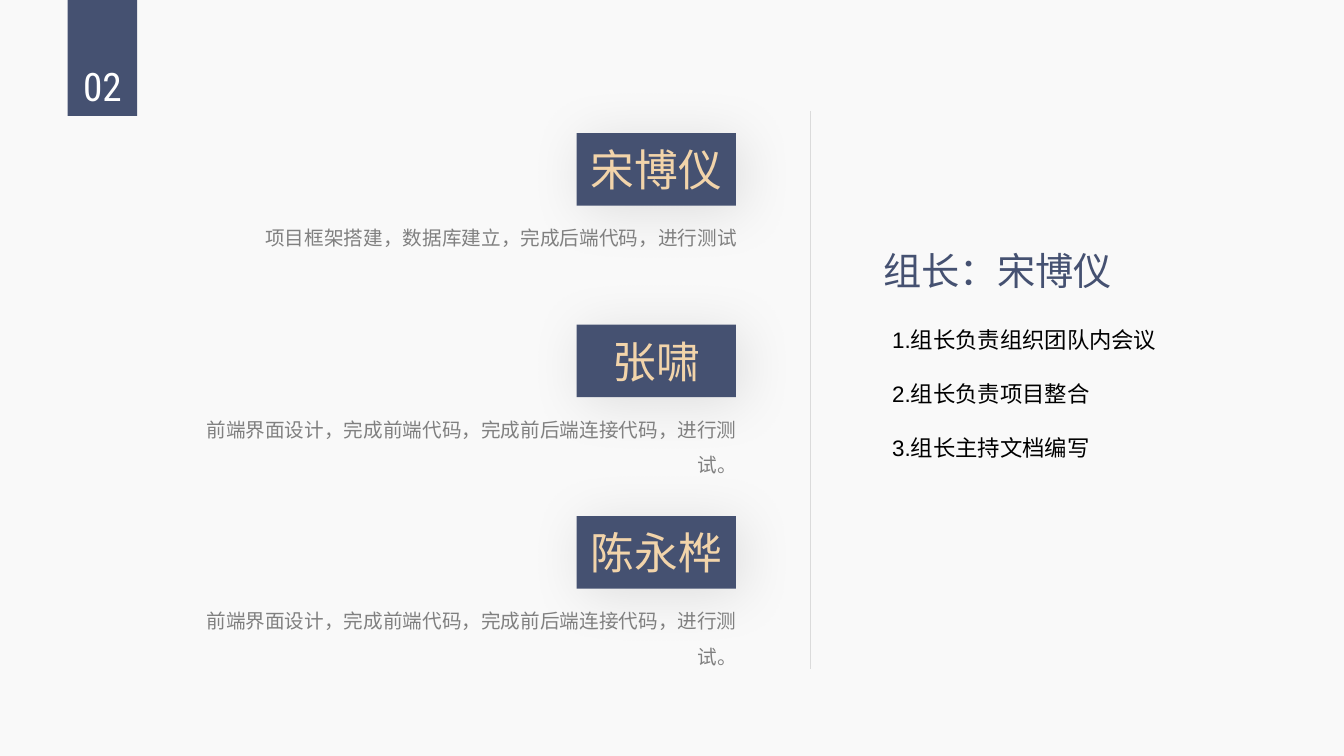
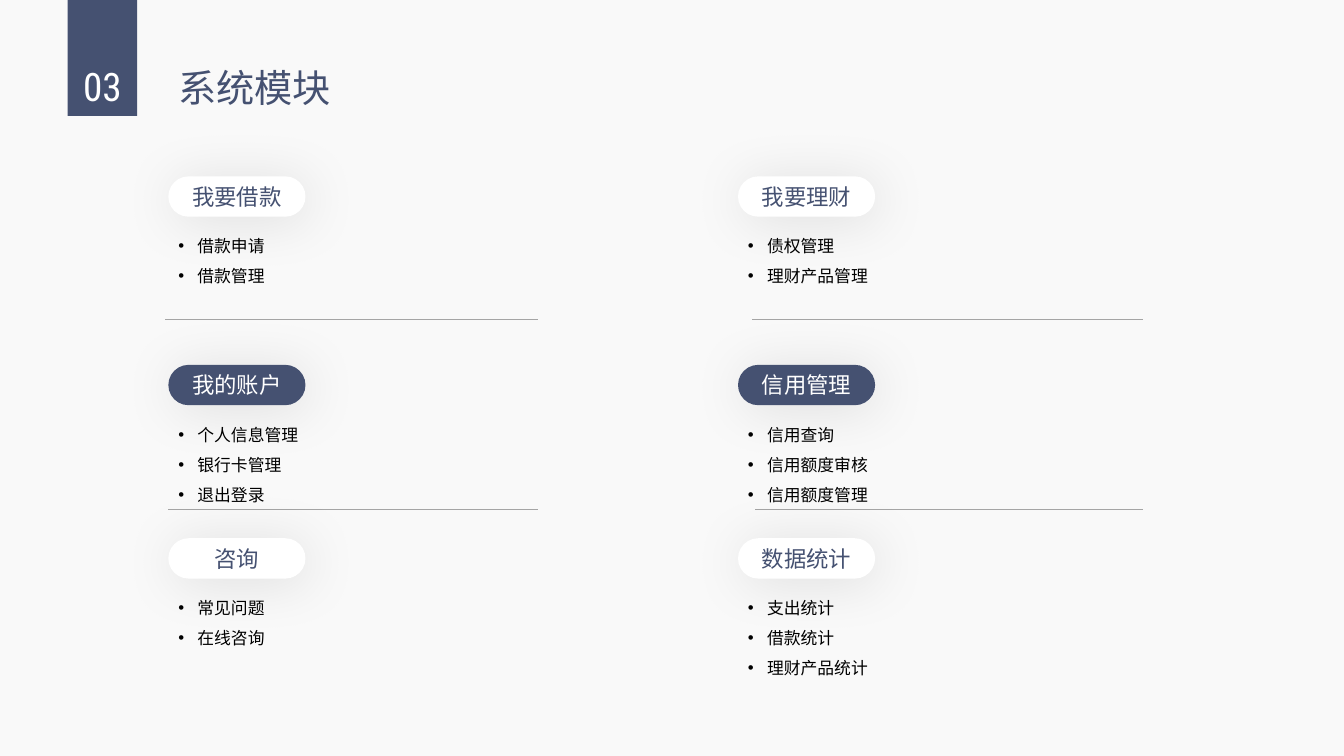
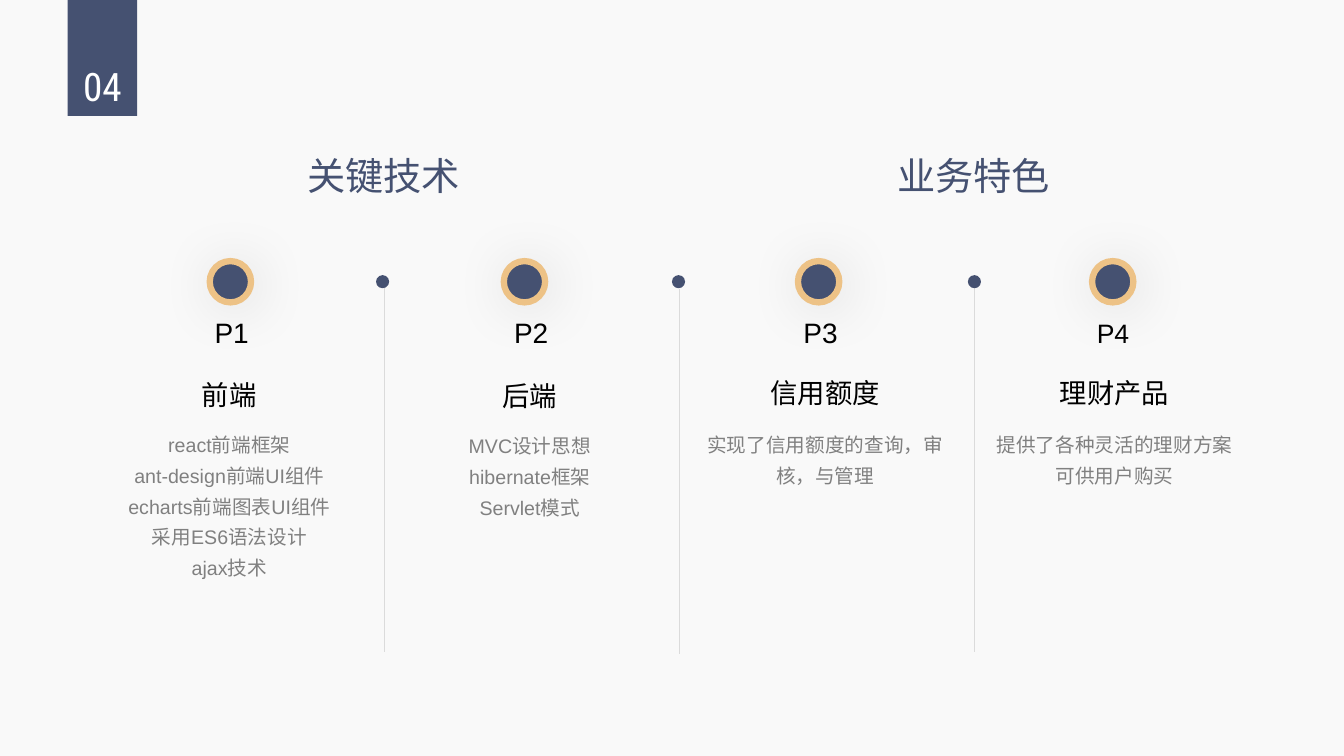
from dataclasses import dataclass

from lxml import etree
from pptx import Presentation, util as u
from pptx.dml.color import RGBColor
from pptx.enum import shapes, text
from pptx.oxml.ns import qn


# Colours, fonts and type sizes shared by all slides
@dataclass(frozen=True)
class Theme:
    background: str = "F9F9F9"
    navy: str = "455171"
    sand: str = "F2D4AA"
    gold: str = "EDC286"
    white: str = "FFFFFF"
    black: str = "000000"
    grey: str = "808080"
    divider: str = "DBDBDB"
    rule: str = "A5A5A5"
    font: str = "Arial"
    number_font: str = "Roboto Condensed"
    name_size: float = 31.2
    number_size: float = 28
    title_size: float = 27.3
    heading_size: float = 19.5
    label_size: float = 20
    list_size: float = 16
    body_size: float = 14
    bullet_size: float = 12


THEME = Theme()
LEFT, CENTER, RIGHT = text.PP_ALIGN.LEFT, text.PP_ALIGN.CENTER, text.PP_ALIGN.RIGHT
TOP, MIDDLE = text.MSO_ANCHOR.TOP, text.MSO_ANCHOR.MIDDLE
RECTANGLE = shapes.MSO_SHAPE.RECTANGLE
PILL = shapes.MSO_SHAPE.ROUNDED_RECTANGLE
OVAL = shapes.MSO_SHAPE.OVAL


def inches(*lengths):
    return [u.Inches(length) for length in lengths]


# Text
def write(shape, lines, *, size, color=THEME.black, font=THEME.font, align=LEFT,
          anchor=TOP, wrap=True, spacing=None, after=None, bullet=False):
    """Write one paragraph for each line into a shape."""
    frame = shape.text_frame
    frame.word_wrap = wrap
    frame.vertical_anchor = anchor
    for index, line in enumerate(lines):
        paragraph = frame.add_paragraph() if index else frame.paragraphs[0]
        paragraph.alignment = align
        if spacing is not None:
            paragraph.line_spacing = spacing
        if after is not None:
            paragraph.space_after = u.Pt(after)
        if bullet:
            add_bullet(paragraph)
        run = paragraph.add_run()
        run.text = line
        run.font.size = u.Pt(size)
        run.font.name = font
        run.font.color.rgb = RGBColor.from_string(color)


def add_bullet(paragraph):
    properties = paragraph._p.get_or_add_pPr()
    indent = u.Inches(0.19)
    properties.set("marL", str(indent))
    properties.set("indent", str(-indent))
    etree.SubElement(properties, qn("a:buFont"), typeface="Arial")
    etree.SubElement(properties, qn("a:buChar"), char="•")


def add_text(slide, box, *lines, **style):
    write(slide.shapes.add_textbox(*inches(*box)), lines, **style)


# Shapes and lines
def add_block(slide, kind, box, fill, outline=None, shadow=None):
    """Add a filled shape; shadow is the distance of a soft shadow in points."""
    shape = slide.shapes.add_shape(kind, *inches(*box))
    shape.fill.solid()
    shape.fill.fore_color.rgb = RGBColor.from_string(fill)
    if outline:
        shape.line.color.rgb = RGBColor.from_string(outline)
        shape.line.width = u.Pt(4.5)
    else:
        shape.line.fill.background()
    shape.shadow.inherit = False
    if shadow:
        effects = shape._element.spPr.find(qn("a:effectLst"))
        outer = etree.SubElement(
            effects, qn("a:outerShdw"), blurRad=str(u.Pt(40)), dist=str(u.Pt(shadow)),
            dir="2700000", algn="tl", rotWithShape="0")
        color = etree.SubElement(outer, qn("a:srgbClr"), val=THEME.black)
        etree.SubElement(color, qn("a:alpha"), val="11000")
    return shape


def add_line(slide, start, end, color, width):
    line = slide.shapes.add_connector(
        shapes.MSO_CONNECTOR.STRAIGHT, *inches(*start, *end))
    line.line.color.rgb = RGBColor.from_string(color)
    line.line.width = u.Pt(width)
    etree.SubElement(line._element.spPr, qn("a:effectLst"))


def add_title(slide, box, title, **style):
    add_text(slide, box, title, size=THEME.title_size, color=THEME.navy, **style)


def add_numbered_slide(presentation, number):
    """Add a blank slide with the numbered band at the top left."""
    slide = presentation.slides.add_slide(presentation.slide_layouts[6])
    add_block(slide, RECTANGLE, (0.67, 0, 0.69, 1.15), THEME.navy)
    add_text(slide, (0.67, 0.57, 0.69, 0.57), number, size=THEME.number_size,
             font=THEME.number_font, color=THEME.white, align=CENTER)
    return slide


# Slide 02: team members and their work
def build_team(presentation):
    slide = add_numbered_slide(presentation, "02")
    add_line(slide, (8.04, 1.1), (8.04, 6.64), THEME.divider, 0.5)
    front_end = "前端界面设计，完成前端代码，完成前后端连接代码，进行测试。"
    members = [
        ("宋博仪", "项目框架搭建，数据库建立，完成后端代码，进行测试"),
        ("张啸", front_end),
        ("陈永桦", front_end),
    ]
    for row, (name, duty) in enumerate(members):
        top = 1.32 + 1.9 * row
        plate = add_block(slide, RECTANGLE, (5.72, top, 1.58, 0.72), THEME.navy, shadow=6)
        write(plate, [name], size=THEME.name_size, color=THEME.sand,
              align=CENTER, anchor=MIDDLE)
        add_text(slide, (1.93, top + 0.76, 5.48, 0.76), duty, size=THEME.body_size,
                 color=THEME.grey, align=RIGHT, spacing=1.5)

    add_title(slide, (8.66, 2.4, 3.67, 0.57), "组长：宋博仪")
    add_text(slide, (8.75, 3.19, 3.33, 1.45), "1.组长负责组织团队内会议",
             "2.组长负责项目整合", "3.组长主持文档编写",
             size=THEME.list_size, after=19.2)


# Slide 03: system modules in two columns
def build_modules(presentation):
    slide = add_numbered_slide(presentation, "03")
    add_title(slide, (1.67, 0.59, 1.77, 0.57), "系统模块", wrap=False)
    row_tops = (1.75, 3.62, 5.34)
    # Each column: left edge, start and end of its rules, modules
    columns = [
        (1.67, 1.64, 5.34, [
            ("我要借款", ["借款申请", "借款管理"]),
            ("我的账户", ["个人信息管理", "银行卡管理", "退出登录"]),
            ("咨询", ["常见问题", "在线咨询"]),
        ]),
        (7.32, 7.46, 11.34, [
            ("我要理财", ["债权管理", "理财产品管理"]),
            ("信用管理", ["信用查询", "信用额度审核", "信用额度管理"]),
            ("数据统计", ["支出统计", "借款统计", "理财产品统计"]),
        ]),
    ]
    for left, rule_start, rule_end, modules in columns:
        for y, inset in [(3.17, 0), (5.05, 0.03)]:
            add_line(slide, (rule_start + inset, y), (rule_end, y), THEME.rule, 0.25)
        for row, (top, (module, features)) in enumerate(zip(row_tops, modules)):
            fill, color = THEME.white, THEME.navy
            if row == 1:
                fill, color = color, fill
            pill = add_block(slide, PILL, (left, top, 1.36, 0.4), fill, shadow=4)
            pill.adjustments[0] = 0.5
            write(pill, [module], size=THEME.list_size, color=color,
                  align=CENTER, anchor=MIDDLE)
            add_text(slide, (left, top + 0.44, 4.54, 0.97), *features,
                     size=THEME.bullet_size, spacing=1.5, bullet=True)


# Slide 04: key technology and business features
def build_features(presentation):
    slide = add_numbered_slide(presentation, "04")
    for left, title in [(2.05, "关键技术"), (7.9, "业务特色")]:
        add_title(slide, (left, 1.46, 3.51, 0.57), title, align=CENTER)

    # Dividers between the four columns
    for index, top in enumerate((2.85, 2.87, 2.85)):
        x = 3.81 + 2.925 * index
        add_line(slide, (x, top), (x, top + 3.62), THEME.divider, 0.5)
        add_block(slide, OVAL, (3.73 + 2.935 * index, 2.73, 0.13, 0.13), THEME.navy)

    # Each column: left edge, label left and size, heading top, details top, words
    columns = [
        (0.94, 2.03, THEME.label_size, 3.69, 4.18, "前端",
         ["react前端框架", "ant-design前端UI组件", "echarts前端图表UI组件",
          "采用ES6语法设计", "ajax技术"]),
        (3.92, 5, THEME.label_size, 3.7, 4.19, "后端",
         ["MVC设计思想", "hibernate框架", "Servlet模式"]),
        (6.85, 7.87, THEME.label_size, 3.68, 4.18, "信用额度",
         ["实现了信用额度的查询，审核，与管理"]),
        (9.72, 10.78, THEME.label_size - 1, 3.68, 4.18, "理财产品",
         ["提供了各种灵活的理财方案可供用户购买"]),
    ]
    for index, column in enumerate(columns):
        left, label_left, label_size, heading_top, details_top, heading, details = column
        add_block(slide, OVAL, (2.08 + 2.917 * index, 2.59, 0.41, 0.41), THEME.navy,
                  outline=THEME.gold, shadow=4)
        add_text(slide, (label_left, 3.08, 0.63, 0.44), f"P{index + 1}",
                 size=label_size, anchor=MIDDLE)
        add_text(slide, (left, heading_top, 2.67, 0.44), heading,
                 size=THEME.heading_size, align=CENTER, anchor=MIDDLE)
        height = 0.1 + 0.31 * max(2, len(details))
        add_text(slide, (left, details_top, 2.67, height), *details,
                 size=THEME.body_size, color=THEME.grey, align=CENTER, spacing=1.3)


def main():
    presentation = Presentation()
    presentation.slide_width, presentation.slide_height = inches(13.33, 7.5)
    background = presentation.slide_master.background.fill
    background.solid()
    background.fore_color.rgb = RGBColor.from_string(THEME.background)
    build_team(presentation)
    build_modules(presentation)
    build_features(presentation)
    presentation.save("out.pptx")


if __name__ == "__main__":
    main()
